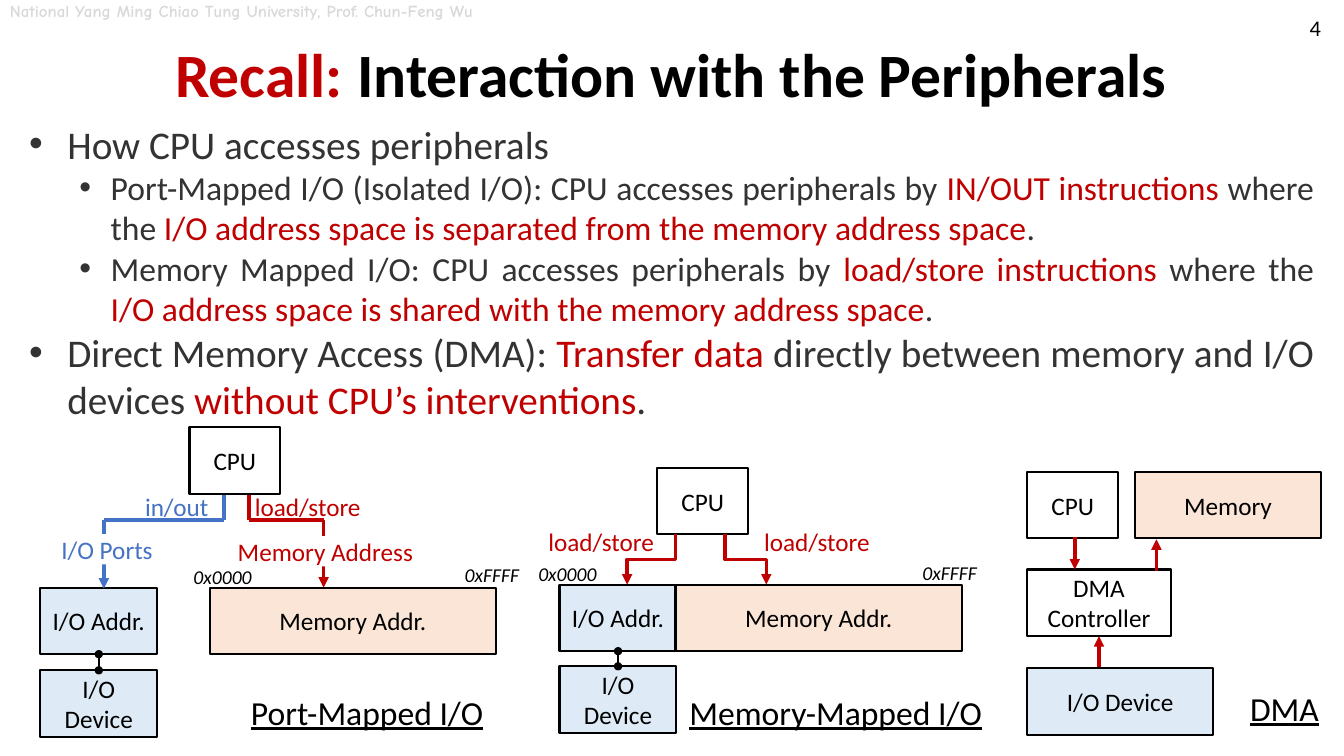
from lxml import etree
from pptx import Presentation
from pptx import util as u
from pptx.dml.color import RGBColor
from pptx.enum import shapes, text
from pptx.oxml.ns import qn

PX = 9144  # 100 px to the inch
BLACK = RGBColor(0x00, 0x00, 0x00)
WHITE = RGBColor(0xFF, 0xFF, 0xFF)
GREY = RGBColor(0xD9, 0xD9, 0xD9)
DARK = RGBColor(0x33, 0x33, 0x33)
RED = RGBColor(0xC0, 0x00, 0x00)
BLUE = RGBColor(0x44, 0x72, 0xC4)
PALE_BLUE = RGBColor(0xDE, 0xEB, 0xF7)
PEACH = RGBColor(0xFB, 0xE5, 0xD6)

BOX_H = 66
ADDR_W, MEMORY_W, CPU_W, WIDE_W = 116, 284, 90, 184

# Bullets: level, then runs of wording and colour
BULLETS = [
    (0, [("How CPU accesses peripherals", DARK)]),
    (1, [("Port-Mapped I/O (Isolated I/O): CPU accesses peripherals by ", DARK),
         ("IN/OUT instructions ", RED), ("where the ", DARK),
         ("I/O address space is separated from the memory address space", RED),
         (".", DARK)]),
    (1, [("Memory Mapped I/O: CPU accesses peripherals by ", DARK),
         ("load/store instructions ", RED), ("where the ", DARK),
         ("I/O address space is shared with the memory address space", RED),
         (".", DARK)]),
    (0, [("Direct Memory Access (DMA): ", DARK), ("Transfer data ", RED),
         ("directly between memory and I/O devices ", DARK),
         ("without CPU’s interventions", RED), (".", DARK)]),
]
# Per level: text size, left margin, hanging indent
LEVELS = [(28, 38, -38), (24, 81, -31)]


def px(*lengths):
    return [u.Emu(round(length * PX)) for length in lengths]


def add_span(para, words, size, color, bold=None, italic=None,
             underline=None, name="Calibri"):
    span = para.add_run()
    span.text = words
    font = span.font
    font.name, font.size, font.color.rgb = name, u.Pt(size), color
    font.bold, font.italic, font.underline = bold, italic, underline


def add_label(page, left, top, width, height, words, size, color,
              align=text.PP_ALIGN.LEFT, fill=None, **style):
    box = page.shapes.add_textbox(*px(left, top, width, height))
    frame = box.text_frame
    frame.word_wrap = False
    if fill is not None:
        box.fill.solid()
        box.fill.fore_color.rgb = fill
        frame.margin_top = frame.margin_bottom = 0
    para = frame.paragraphs[0]
    para.alignment = align
    add_span(para, words, size, color, **style)
    return box


def add_block(page, left, top, width, words, fill=WHITE):
    box = page.shapes.add_shape(shapes.MSO_SHAPE.RECTANGLE,
                                *px(left, top, width, BOX_H))
    box.shadow.inherit = False
    box.fill.solid()
    box.fill.fore_color.rgb = fill
    box.line.color.rgb = BLACK
    box.line.width = u.Pt(1.5)
    frame = box.text_frame
    frame.word_wrap = True
    frame.vertical_anchor = text.MSO_ANCHOR.MIDDLE
    frame.paragraphs[0].alignment = text.PP_ALIGN.CENTER
    add_span(frame.paragraphs[0], words, 18, BLACK)
    return box


def add_line(page, x1, y1, x2, y2, color, width=2.5, head=None, tail=None,
             kind=shapes.MSO_CONNECTOR.STRAIGHT):
    line = page.shapes.add_connector(kind, *px(x1, y1, x2, y2))
    line.line.color.rgb = color
    line.line.width = u.Pt(width)
    outline = line.line._get_or_add_ln()
    for end, mark in (("a:headEnd", head), ("a:tailEnd", tail)):
        if mark:
            etree.SubElement(outline, qn(end), type=mark)
    etree.SubElement(line.element.spPr, qn("a:effectLst"))
    return line


def add_down_elbow(page, x1, y1, x2, y2):
    """Arrow that goes down, sideways, then down: a turned elbow connector."""
    mid_x, mid_y = (x1 + x2) / 2, (y1 + y2) / 2
    half_w, half_h = abs(x2 - x1) / 2, (y2 - y1) / 2
    side, turn = (1, 270) if x2 > x1 else (-1, 90)
    elbow = add_line(page, mid_x + side * half_h, mid_y - half_w,
                     mid_x - side * half_h, mid_y + half_w, RED,
                     tail="triangle", kind=shapes.MSO_CONNECTOR.ELBOW)
    elbow.element.spPr.find(qn("a:xfrm")).set("rot", str(turn * 60000))


def add_title(page):
    box = add_label(page, 19, 19, 1294, 116, "Recall: ", 44, RED,
                    align=text.PP_ALIGN.CENTER, bold=True)
    frame = box.text_frame
    frame.word_wrap = True
    frame.vertical_anchor = text.MSO_ANCHOR.MIDDLE
    para = frame.paragraphs[0]
    para.line_spacing = 0.9
    add_span(para, "Interaction with the Peripherals", 44, BLACK, bold=True)


def add_bullets(page):
    frame = page.shapes.add_textbox(*px(19, 114, 1294, 595)).text_frame
    frame.word_wrap = True
    for index, (level, spans) in enumerate(BULLETS):
        para = frame.add_paragraph() if index else frame.paragraphs[0]
        size, margin, indent = LEVELS[level]
        para.level = level
        para.alignment = text.PP_ALIGN.JUSTIFY
        props = para._p.get_or_add_pPr()
        props.set("marL", str(margin * PX))
        props.set("indent", str(indent * PX))
        etree.SubElement(props, qn("a:buFont"), typeface="Arial")
        etree.SubElement(props, qn("a:buChar"), char="•")
        for words, color in spans:
            add_span(para, words, size, color)


def add_address_map(page, left, top, memory_left, device_top):
    address = add_block(page, left, top, ADDR_W, "I/O Addr.", PALE_BLUE)
    add_block(page, memory_left, top, MEMORY_W, "Memory Addr.", PEACH)
    device = add_block(page, left, device_top, ADDR_W, "I/O Device", PALE_BLUE)
    link = add_line(page, left, top, left, device_top, BLACK, 1.5,
                    head="oval", tail="oval")
    link.begin_connect(address, 2)
    link.end_connect(device, 0)


def add_range(page, low_left, low_top, high_left, high_top):
    add_label(page, low_left, low_top, 79, 34, "0x0000", 14, BLACK, italic=True)
    add_label(page, high_left, high_top, 75, 34, "0xFFFF", 14, BLACK, italic=True)


def add_route(page, start, end, bottom, color):
    add_line(page, start, 491, start, 516, color)
    add_line(page, end, 516, end, bottom, color, tail="triangle")
    add_line(page, start, 516, end, 516, color)


def add_caption(page, left, top, width, words):
    add_label(page, left, top, width, 40, words, 24, BLACK,
              fill=WHITE, underline=True)


def add_port_mapped(page):
    add_block(page, 188, 424, CPU_W, "CPU")
    add_address_map(page, 40, 583, 208, 665)
    add_range(page, 182, 556, 451, 554)
    add_label(page, 134, 483, 84, 40, "in/out", 18, BLUE)
    add_route(page, 222, 103, 584, BLUE)
    add_label(page, 51, 530, 112, 30, "I/O Ports", 18, BLUE, fill=WHITE)
    add_label(page, 243, 483, 126, 40, "load/store", 18, RED)
    add_route(page, 247, 321, 583, RED)
    add_label(page, 226, 532, 196, 30, "Memory Address", 18, RED, fill=WHITE)
    add_caption(page, 239, 686, 253, "Port-Mapped I/O")


def add_memory_mapped(page):
    add_block(page, 652, 464, CPU_W, "CPU")
    add_down_elbow(page, 670, 530, 622, 580)
    add_down_elbow(page, 719, 530, 760, 580)
    for left in (534, 748):
        add_label(page, left, 517, 126, 40, "load/store", 18, RED)
    add_address_map(page, 555, 580, 670, 661)
    add_range(page, 524, 553, 905, 552)
    add_caption(page, 674, 686, 313, "Memory-Mapped I/O")


def add_dma(page):
    add_block(page, 1019, 468, CPU_W, "CPU")
    add_block(page, 1126, 468, WIDE_W, "Memory", PEACH)
    add_block(page, 1019, 663, WIDE_W, "I/O Device", PALE_BLUE)
    controller = add_block(page, 1019, 565, 142, "DMA Controller")
    add_line(page, 1066, 533, 1066, 565, RED, tail="triangle")
    rise = add_line(page, 1090, 631, 1090, 662, RED, head="triangle")
    rise.begin_connect(controller, 2)
    add_line(page, 1147, 535, 1147, 566, RED, head="triangle")
    add_caption(page, 1230, 682, 89, "DMA")


def main():
    deck = Presentation()
    deck.slide_width, deck.slide_height = px(1333, 750)
    page = deck.slides.add_slide(deck.slide_layouts[6])

    # Header, title and page number
    add_label(page, 0, -4, 519, 30,
              "National Yang Ming Chiao Tung University, Prof. Chun-Feng Wu",
              12, GREY, bold=True, name="Comic Neue")
    add_title(page)
    add_bullets(page)
    number = add_label(page, 1276, 1, 57, 53, "4", 16, BLACK,
                       align=text.PP_ALIGN.CENTER)
    number.text_frame.vertical_anchor = text.MSO_ANCHOR.MIDDLE

    # The three diagrams
    add_port_mapped(page)
    add_memory_mapped(page)
    add_dma(page)
    deck.save("out.pptx")


if __name__ == "__main__":
    main()
